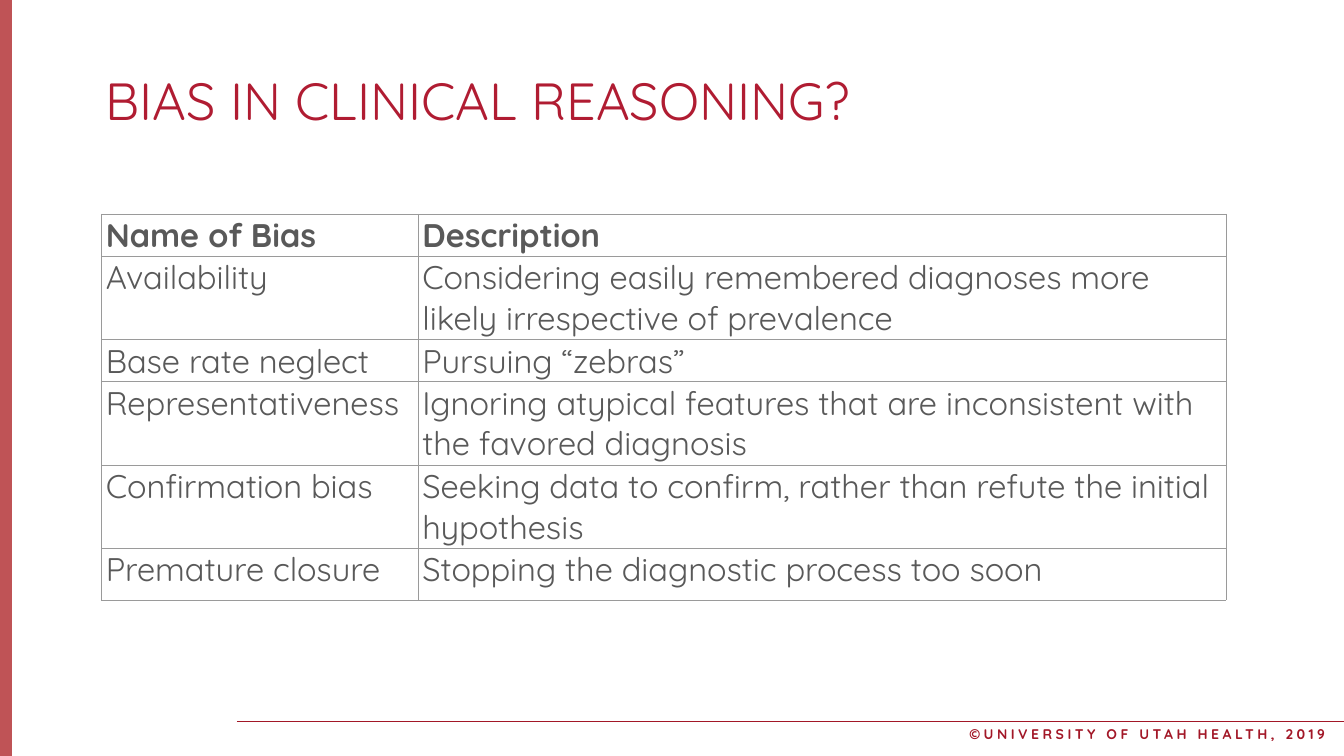
"""Builds a slide with a table of biases in clinical reasoning."""
from lxml import etree
from pptx import Presentation
from pptx import util as u
from pptx.dml.color import RGBColor
from pptx.enum import shapes, text
from pptx.oxml import ns

CRIMSON = RGBColor(0xB0, 0x1C, 0x32)
DEEP_RED = RGBColor(0xA2, 0x17, 0x27)
BAR_RED = RGBColor(0xAF, 0x28, 0x2C)
GREY = RGBColor(0x59, 0x59, 0x59)
BORDER = RGBColor(0x9A, 0x9A, 0x9A)

BIASES = [
    ("Name of Bias", "Description"),
    ("Availability", "Considering easily remembered diagnoses more likely irrespective of prevalence"),
    ("Base rate neglect", "Pursuing “zebras”"),
    ("Representativeness", "Ignoring atypical features that are inconsistent with the favored diagnosis"),
    ("Confirmation bias", "Seeking data to confirm, rather than refute the initial hypothesis"),
    ("Premature closure", "Stopping the diagnostic process too soon"),
]
COLUMN_WIDTHS = (9.57, 24.43)
ROW_HEIGHTS = (1.25, 2.52, 1.25, 2.53, 2.42, 1.56)


class SlideBuilder:
    """Holds the font and the current slide, and adds each kind of element."""

    def __init__(self, page, font):
        self.page = page
        self.font = font

    def add_text(self, frame, wording, size, color, bold=False, spacing=0):
        para = frame.paragraphs[0]
        para.alignment = text.PP_ALIGN.LEFT
        para.line_spacing = 1.0
        para.space_before = u.Pt(0)
        span = para.add_run()
        span.text = wording
        span.font.name = self.font
        span.font.size = u.Pt(size)
        span.font.bold = bold
        span.font.color.rgb = color
        if spacing:
            span.font._element.set("spc", str(spacing * 100))

    def set_frame(self, frame, side, edge, wrap):
        frame.margin_left = frame.margin_right = u.Cm(side)
        frame.margin_top = frame.margin_bottom = u.Cm(edge)
        frame.vertical_anchor = text.MSO_ANCHOR.TOP
        frame.auto_size = text.MSO_AUTO_SIZE.NONE
        frame.word_wrap = wrap

    def bar(self, left, top, width, height, color, opacity):
        bar = self.page.shapes.add_shape(
            shapes.MSO_SHAPE.RECTANGLE, u.Cm(left), u.Cm(top), u.Cm(width), u.Cm(height))
        bar.shadow.inherit = False
        bar.line.fill.background()
        bar.fill.solid()
        bar.fill.fore_color.rgb = color
        tint = bar._element.spPr.find(".//" + ns.qn("a:srgbClr"))
        etree.SubElement(tint, ns.qn("a:alpha"), val=str(opacity * 1000))

    def rule(self, left, right, top, color):
        rule = self.page.shapes.add_connector(
            shapes.MSO_CONNECTOR.STRAIGHT, u.Cm(left), u.Cm(top), u.Cm(right), u.Cm(top))
        rule.line.color.rgb = color
        rule.line.width = u.Pt(1)
        etree.SubElement(rule._element.spPr, ns.qn("a:effectLst"))

    def label(self, left, top, width, height, wording, size, color, spacing):
        box = self.page.shapes.add_textbox(u.Cm(left), u.Cm(top), u.Cm(width), u.Cm(height))
        self.set_frame(box.text_frame, 0.25, 0.13, False)
        self.add_text(box.text_frame, wording, size, color, True, spacing)

    def title(self, left, top, width, height, wording, size, color):
        title = self.page.shapes.title
        title.left, title.top = u.Cm(left), u.Cm(top)
        title.width, title.height = u.Cm(width), u.Cm(height)
        self.set_frame(title.text_frame, 0.13, 0.13, True)
        self.add_text(title.text_frame, wording, size, color)

    def border_cell(self, cell, color):
        properties = cell._tc.get_or_add_tcPr()
        for position, side in enumerate(("a:lnL", "a:lnR", "a:lnT", "a:lnB")):
            edge = etree.Element(ns.qn(side), w=str(u.Pt(0.75)))
            fill = etree.SubElement(edge, ns.qn("a:solidFill"))
            etree.SubElement(fill, ns.qn("a:srgbClr"), val=str(color))
            properties.insert(position, edge)

    def table(self, left, top, widths, heights, rows, size):
        table = self.page.shapes.add_table(
            len(rows), len(widths), u.Cm(left), u.Cm(top),
            u.Cm(sum(widths)), u.Cm(sum(heights))).table
        table.horz_banding = False
        for column, width in zip(table.columns, widths):
            column.width = u.Cm(width)
        for index, (row, height, wordings) in enumerate(zip(table.rows, heights, rows)):
            row.height = u.Cm(height)
            for cell, wording in zip(row.cells, wordings):
                cell.margin_left = cell.margin_right = u.Cm(0.13)
                cell.margin_top = cell.margin_bottom = u.Cm(0.02)
                cell.fill.background()
                self.add_text(cell.text_frame, wording, size, GREY, index == 0)
                self.border_cell(cell, BORDER)


def main():
    deck = Presentation()
    deck.slide_width, deck.slide_height = u.Cm(40.64), u.Cm(22.86)
    page = deck.slides.add_slide(deck.slide_layouts[5])
    builder = SlideBuilder(page, "Quicksand")
    builder.bar(0, 0, 0.36, 22.86, BAR_RED, 80)
    builder.rule(7.16, 40.64, 21.82, DEEP_RED)
    builder.label(29.06, 21.82, 11.58, 0.76, "©UNIVERSITY OF UTAH HEALTH, 2019", 12, DEEP_RED, 3)
    builder.title(3.07, 1.93, 35.53, 1.83, "BIAS IN CLINICAL REASONING?", 44.8, CRIMSON)
    builder.table(3.07, 6.48, COLUMN_WIDTHS, ROW_HEIGHTS, BIASES, 28)
    deck.save("out.pptx")


if __name__ == "__main__":
    main()
